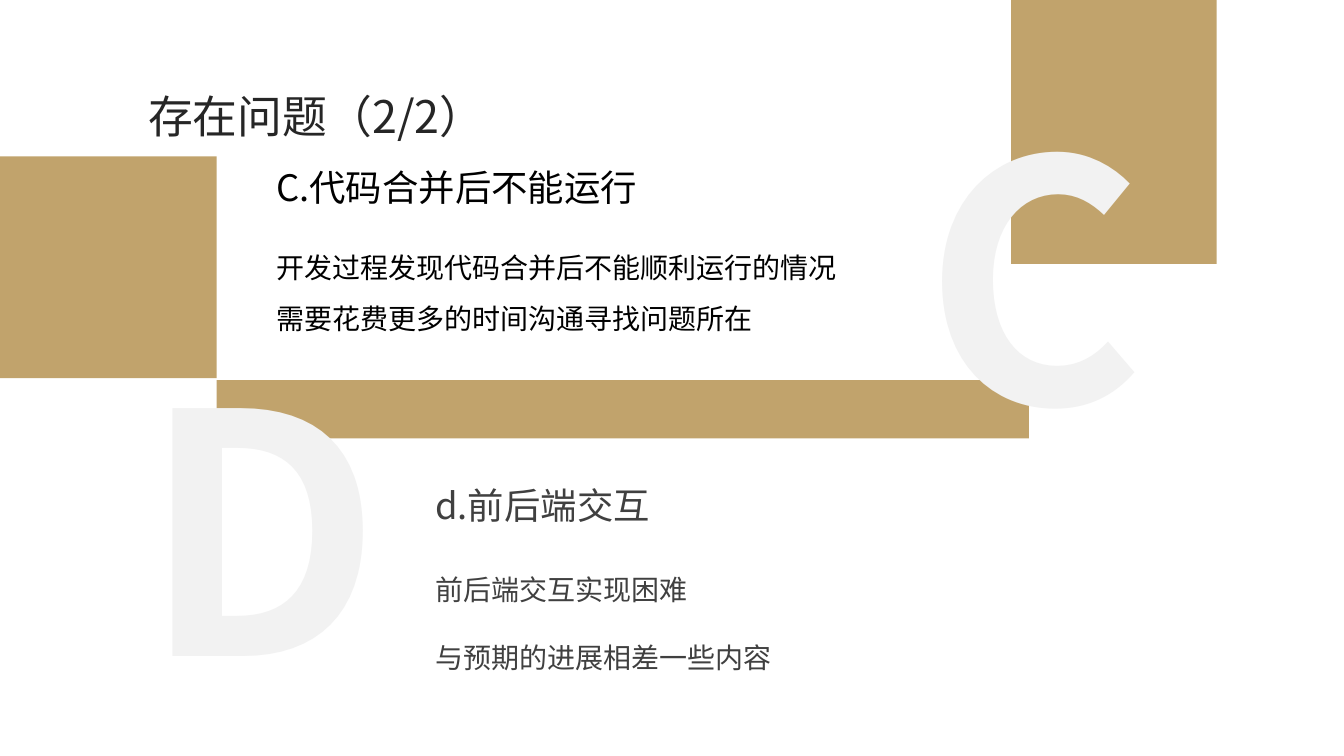
from dataclasses import dataclass

from pptx import Presentation
from pptx.dml.color import RGBColor
from pptx.enum.shapes import MSO_SHAPE
from pptx.enum.text import MSO_ANCHOR, MSO_AUTO_SIZE, PP_ALIGN
from pptx.oxml.ns import qn
from pptx.slide import Slide
from pptx.text.text import TextFrame
from pptx.util import Cm, Pt

FONT = "Noto Sans CJK SC"
GOLD, PALE = "C1A36C", "F2F2F2"


@dataclass
class Box:
    left: float
    top: float
    width: float
    height: float

    def emu(self) -> tuple[Cm, Cm, Cm, Cm]:
        return Cm(self.left), Cm(self.top), Cm(self.width), Cm(self.height)


@dataclass
class Problem:
    letter: str
    heading: str
    lines: list[str]
    color: str
    left: float
    heading_top: float
    body_top: float
    body_height: float
    letter_left: float
    letter_top: float
    space_before: float = 0


BLOCKS = [
    Box(25.48, 0, 5.18, 6.65),
    Box(5.46, 9.58, 20.47, 1.47),
    Box(0, 3.94, 5.46, 5.59),
]

PROBLEMS = [
    Problem("C", "C.代码合并后不能运行",
            ["开发过程发现代码合并后不能顺利运行的情况", "需要花费更多的时间沟通寻找问题所在"],
            "000000", 6.71, 4.04, 5.77, 2.67, 23.06, 1.65),
    Problem("D", "d.前后端交互",
            ["前后端交互实现困难", "与预期的进展相差一些内容"],
            "404040", 10.72, 12.04, 13.89, 3.1, 3.33, 8, space_before=12),
]


def rgb(color: str) -> RGBColor:
    return RGBColor.from_string(color)


def write(tf: TextFrame, lines: list[str], *, size: float, color: str,
          bold: bool = False, align: PP_ALIGN = PP_ALIGN.LEFT,
          spacing: float = 1.0, before: float = 0, grow: bool = True) -> None:
    tf.word_wrap = True
    tf.auto_size = MSO_AUTO_SIZE.SHAPE_TO_FIT_TEXT if grow else MSO_AUTO_SIZE.NONE
    tf.vertical_anchor = MSO_ANCHOR.TOP
    for i, line in enumerate(lines):
        p = tf.add_paragraph() if i else tf.paragraphs[0]
        p.alignment = align
        p.line_spacing = spacing
        p.space_before = Pt(before)
        r = p.add_run()
        r.text = line
        r.font.size = Pt(size)
        r.font.bold = bold
        r.font.name = FONT
        r.font.color.rgb = rgb(color)
        ea = r.font._element.makeelement(qn("a:ea"), {"typeface": FONT})
        r.font._element.find(qn("a:latin")).addnext(ea)


def add_text(s: Slide, box: Box, lines: list[str], **fmt) -> None:
    write(s.shapes.add_textbox(*box.emu()).text_frame, lines, **fmt)


def add_block(s: Slide, box: Box) -> None:
    sp = s.shapes.add_shape(MSO_SHAPE.RECTANGLE, *box.emu())
    sp.shadow.inherit = False
    sp.fill.solid()
    sp.fill.fore_color.rgb = rgb(GOLD)
    sp.line.fill.background()


def add_title(s: Slide, text: str) -> None:
    title = s.shapes.title
    title.left, title.top, title.width, title.height = Box(3.48, 1.42, 10.13, 2.06).emu()
    write(title.text_frame, [text], size=32, color="262626", spacing=1.5)


def add_problem(s: Slide, item: Problem) -> None:
    add_text(s, Box(item.letter_left, item.letter_top, 4.85, 10.46), [item.letter],
             size=239, color=PALE, bold=True, align=PP_ALIGN.JUSTIFY)
    add_text(s, Box(item.left, item.heading_top, 10.21, 1.12), [item.heading],
             size=26, color=item.color, grow=False)
    add_text(s, Box(item.left, item.body_top, 15.27, item.body_height), item.lines,
             size=20, color=item.color, spacing=1.5, before=item.space_before)


def main() -> None:
    prs = Presentation()
    prs.slide_width, prs.slide_height = Cm(33.87), Cm(19.05)
    s = prs.slides.add_slide(prs.slide_layouts.get_by_name("Title Only"))
    add_title(s, "存在问题（2/2）")
    for box in BLOCKS:
        add_block(s, box)
    for item in PROBLEMS:
        add_problem(s, item)
    prs.save("out.pptx")


if __name__ == "__main__":
    main()
